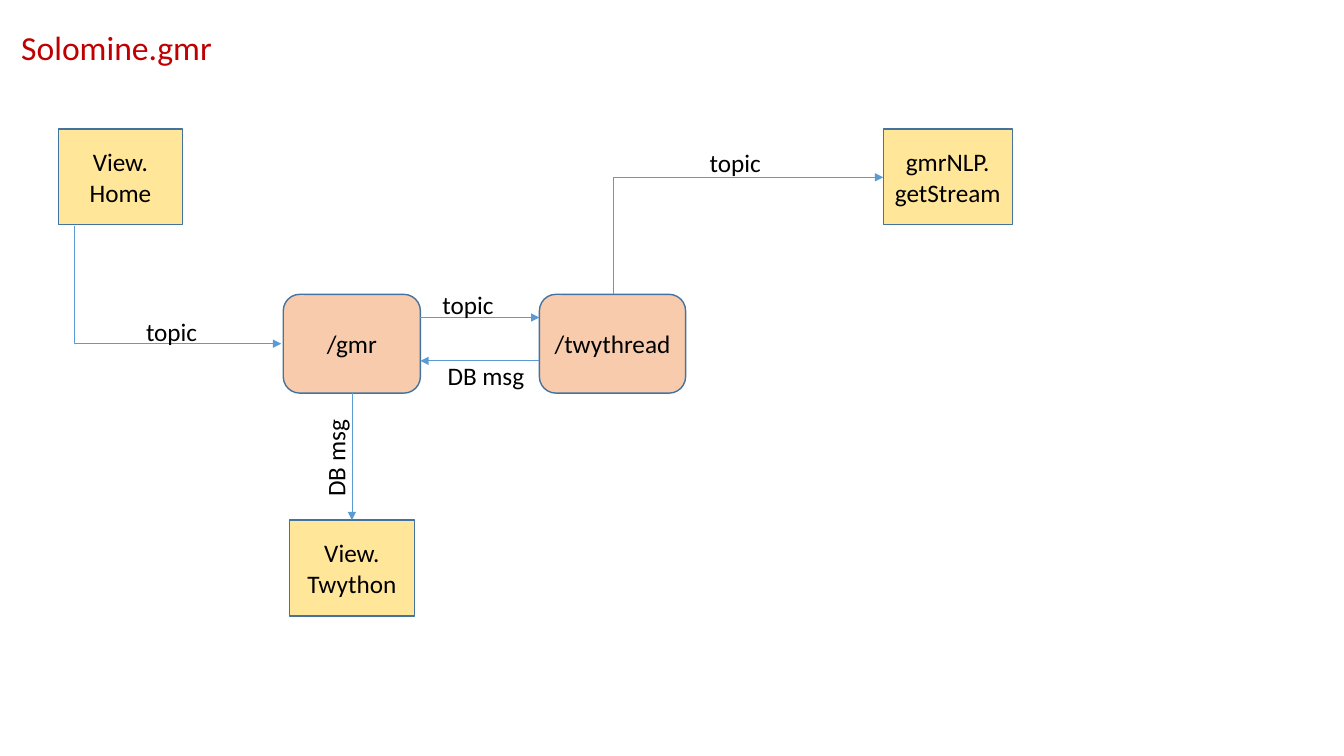
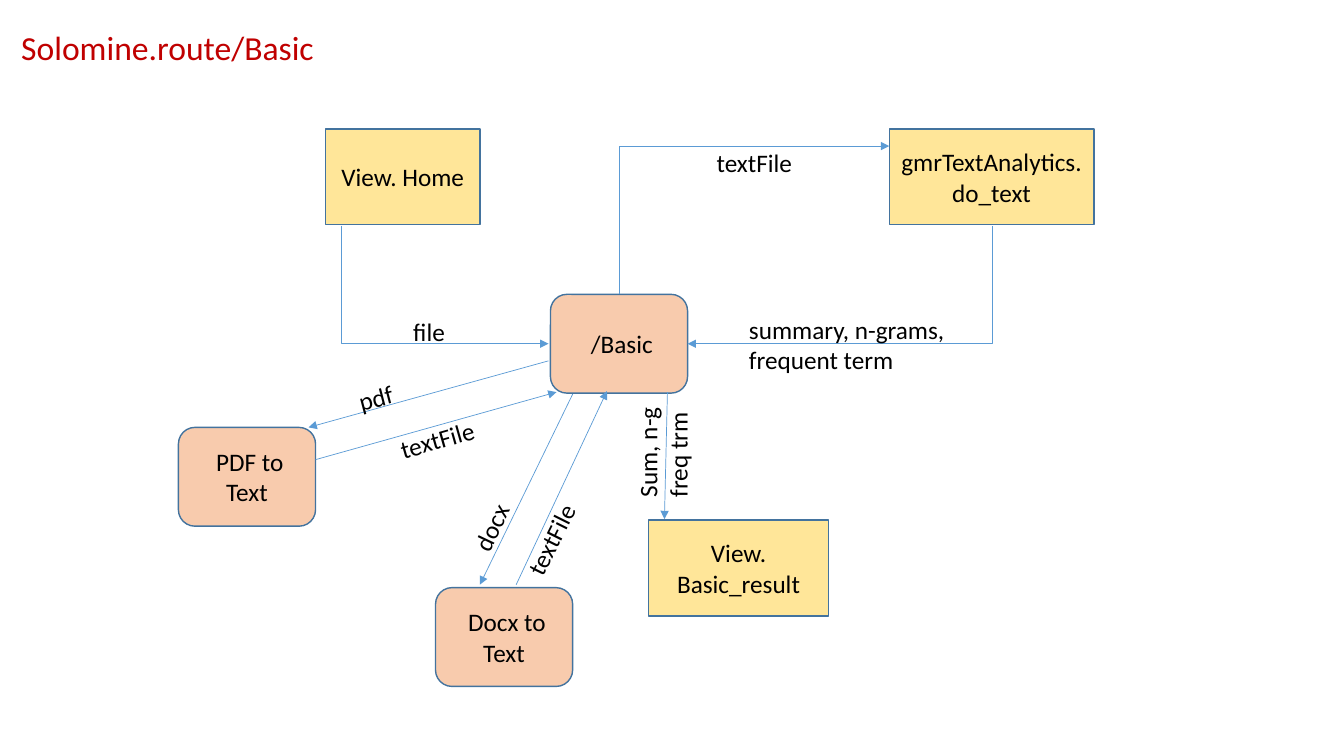
from dataclasses import dataclass
from typing import Any, Optional

from lxml.etree import SubElement
from pptx import Presentation
from pptx.dml.color import RGBColor
from pptx.enum.shapes import MSO_CONNECTOR, MSO_SHAPE
from pptx.enum.text import MSO_ANCHOR, MSO_AUTO_SIZE, PP_ALIGN
from pptx.oxml.ns import qn
from pptx.util import Pt

# Shared style
PX = 9144  # EMU per px, 100 px to the inch
FONT = "Calibri"
TITLE_RED, TEXT_BLACK = "C00000", "000000"
VIEW_FILL, ROUTE_FILL = "FFE699", "F8CBAD"
BORDER, ARROW = "43739E", "5B9BD5"
TITLE_FRAME = (11, 22, 409, 50)
VIEW_HEIGHT, ROUTE_WIDTH, ROUTE_HEIGHT = 95, 136, 98
TOP_ROW, MIDDLE_ROW, BOTTOM_ROW = 128, 292, 516
PLAIN_TEXT = {"word_wrap": True, "vertical_anchor": MSO_ANCHOR.TOP,
              "auto_size": MSO_AUTO_SIZE.SHAPE_TO_FIT_TEXT}
BOX_TEXT = {"word_wrap": True, "vertical_anchor": MSO_ANCHOR.MIDDLE}


@dataclass(frozen=True)
class Node:
    text: str
    left: int
    top: int
    width: int = ROUTE_WIDTH
    is_view: bool = False


@dataclass(frozen=True)
class Link:
    start: tuple[int, int]
    end: tuple[int, int]
    bent: bool = False
    joins: Optional[tuple[str, int, str, int]] = None  # from, side, to, side


@dataclass(frozen=True)
class Label:
    text: str
    left: int
    top: int
    width: int = 160
    height: int = 40
    rotation: float = 0


@dataclass(frozen=True)
class Diagram:
    title: str
    nodes: list[Node]
    links: list[Link]
    labels: list[Label]


def color(hex_code: str) -> RGBColor:
    return RGBColor.from_string(hex_code)


def px(*lengths: int) -> list[int]:
    return [length * PX for length in lengths]


def apply(target: Any, values: dict[str, Any]) -> None:
    for name, value in values.items():
        setattr(target, name, value)


def write(shape: Any, text: str, frame_format: dict[str, Any], align: PP_ALIGN,
          size: int = 18, text_color: str = TEXT_BLACK) -> None:
    frame = shape.text_frame
    frame.text = text
    apply(frame, frame_format)
    paragraph = frame.paragraphs[0]
    paragraph.alignment = align
    font = paragraph.runs[0].font
    apply(font, {"name": FONT, "size": Pt(size)})
    font.color.rgb = color(text_color)


def style_line(line: Any, hex_code: str, width: float) -> None:
    line.color.rgb = color(hex_code)
    line.width = Pt(width)


def add_title(slide: Any, text: str) -> None:
    title = slide.shapes.title
    apply(title, dict(zip(("left", "top", "width", "height"), px(*TITLE_FRAME))))
    write(title, text, PLAIN_TEXT, PP_ALIGN.LEFT, 24, TITLE_RED)


def add_node(slide: Any, node: Node) -> Any:
    preset, height, fill = (
        (MSO_SHAPE.RECTANGLE, VIEW_HEIGHT, VIEW_FILL) if node.is_view
        else (MSO_SHAPE.ROUNDED_RECTANGLE, ROUTE_HEIGHT, ROUTE_FILL))
    box = slide.shapes.add_shape(preset, *px(node.left, node.top, node.width, height))
    box.shadow.inherit = False
    box.fill.solid()
    box.fill.fore_color.rgb = color(fill)
    style_line(box.line, BORDER, 1)
    write(box, node.text, BOX_TEXT, PP_ALIGN.CENTER)
    return box


def bend(connector: Any, link: Link) -> None:
    """Make the connector run vertically first, then horizontally."""
    (x1, y1), (x2, y2) = link.start, link.end
    across, down = abs(x2 - x1), abs(y2 - y1)
    # The frame is turned a quarter about its centre, so its sides swap
    apply(connector, {"left": (x1 + x2 - down) * PX // 2,
                      "top": (y1 + y2 - across) * PX // 2,
                      "width": down * PX, "height": across * PX})
    properties = connector.element.spPr
    properties.find(qn("a:prstGeom")).set("prst", "bentConnector2")
    turn = {"rot": "5400000", "flipH": str(int(y2 < y1)), "flipV": str(int(x2 > x1))}
    for name, value in turn.items():
        properties.find(qn("a:xfrm")).set(name, value)


def add_link(slide: Any, link: Link, boxes: dict[str, Any]) -> None:
    kind = MSO_CONNECTOR.ELBOW if link.bent else MSO_CONNECTOR.STRAIGHT
    connector = slide.shapes.add_connector(kind, *px(*link.start, *link.end))
    if link.joins:
        source, source_side, target, target_side = link.joins
        connector.begin_connect(boxes[source], source_side)
        connector.end_connect(boxes[target], target_side)
    if link.bent:
        bend(connector, link)
    style_line(connector.line, ARROW, 0.5)
    properties = connector.element.spPr
    SubElement(properties.find(qn("a:ln")), qn("a:tailEnd"), type="triangle")
    SubElement(properties, qn("a:effectLst"))


def add_label(slide: Any, label: Label) -> None:
    box = slide.shapes.add_textbox(*px(label.left, label.top, label.width, label.height))
    box.rotation = label.rotation
    write(box, label.text, PLAIN_TEXT, PP_ALIGN.LEFT)


def add_diagram(deck: Any, diagram: Diagram) -> None:
    slide = deck.slides.add_slide(deck.slide_layouts.get_by_name("Title Only"))
    add_title(slide, diagram.title)
    boxes = {node.text: add_node(slide, node) for node in diagram.nodes}
    for link in diagram.links:
        add_link(slide, link, boxes)
    for label in diagram.labels:
        add_label(slide, label)


# Content
GMR = Diagram(
    "Solomine.gmr",
    nodes=[
        Node("/twythread", 535, MIDDLE_ROW, 145),
        Node("View. Home", 58, TOP_ROW, 123, True),
        Node("gmrNLP. getStream", 876, TOP_ROW, 128, True),
        Node("View. Twython", 287, BOTTOM_ROW, 124, True),
        Node("/gmr", 281, MIDDLE_ROW),
    ],
    links=[
        Link((74, 224), (279, 341), bent=True),
        Link((608, 292), (876, 176), bent=True),
        Link((417, 315), (535, 315)),
        Link((535, 358), (417, 358)),
        Link((349, 390), (349, 516), joins=("/gmr", 2, "View. Twython", 0)),
    ],
    labels=[
        Label("topic", 135, 309, 152),
        Label("DB msg", 283, 433, 99, rotation=270),
        Label("DB msg", 434, 353, 121),
        Label("topic", 694, 141),
        Label("topic", 429, 282, 152),
    ],
)

BASIC = Diagram(
    "Solomine.route/Basic",
    nodes=[
        Node("View. Home", 323, TOP_ROW, 153, True),
        Node("gmrTextAnalytics. do_text", 882, TOP_ROW, 203, True),
        Node("View. Basic_result", 643, BOTTOM_ROW, 179, True),
        Node(" /Basic", 546, MIDDLE_ROW),
        Node(" PDF to Text", 177, 424),
        Node(" Docx to Text", 432, 583),
    ],
    links=[
        Link((339, 224), (544, 341), bent=True),
        Link((614, 292), (882, 145), bent=True),
        Link((984, 224), (682, 341), bent=True),
        Link((662, 389), (659, 515)),
        Link((544, 358), (306, 424)),
        Link((313, 456), (552, 389)),
        Link((568, 391), (476, 580)),
        Link((512, 580), (602, 388)),
    ],
    labels=[
        Label("file", 400, 309, 152),
        Label("Sum, n-g freq trm", 601, 411, 113, 71, 270),
        Label("textFile", 701, 141),
        Label("summary, n-grams, frequent term", 733, 307, 228, 71),
        Label("textFile", 385, 407, rotation=344.1),
        Label("pdf", 344, 361, rotation=345.4),
        Label("textFile", 481, 486, rotation=296.5),
        Label("docx", 427, 461, rotation=295.5),
    ],
)


def main() -> None:
    deck = Presentation()
    deck.slide_width, deck.slide_height = px(1333, 750)
    for diagram in (GMR, BASIC):
        add_diagram(deck, diagram)
    deck.save("out.pptx")


if __name__ == "__main__":
    main()
